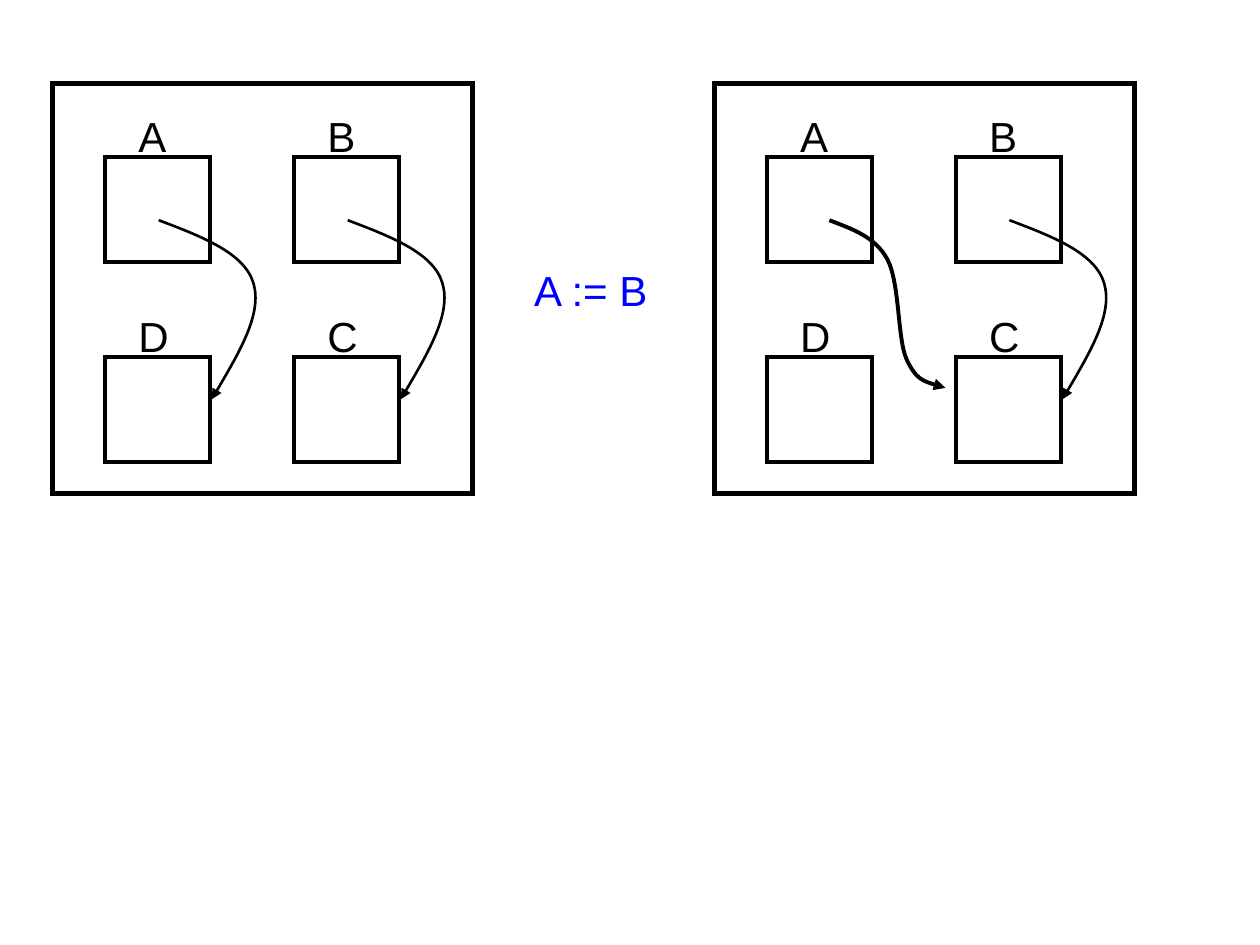
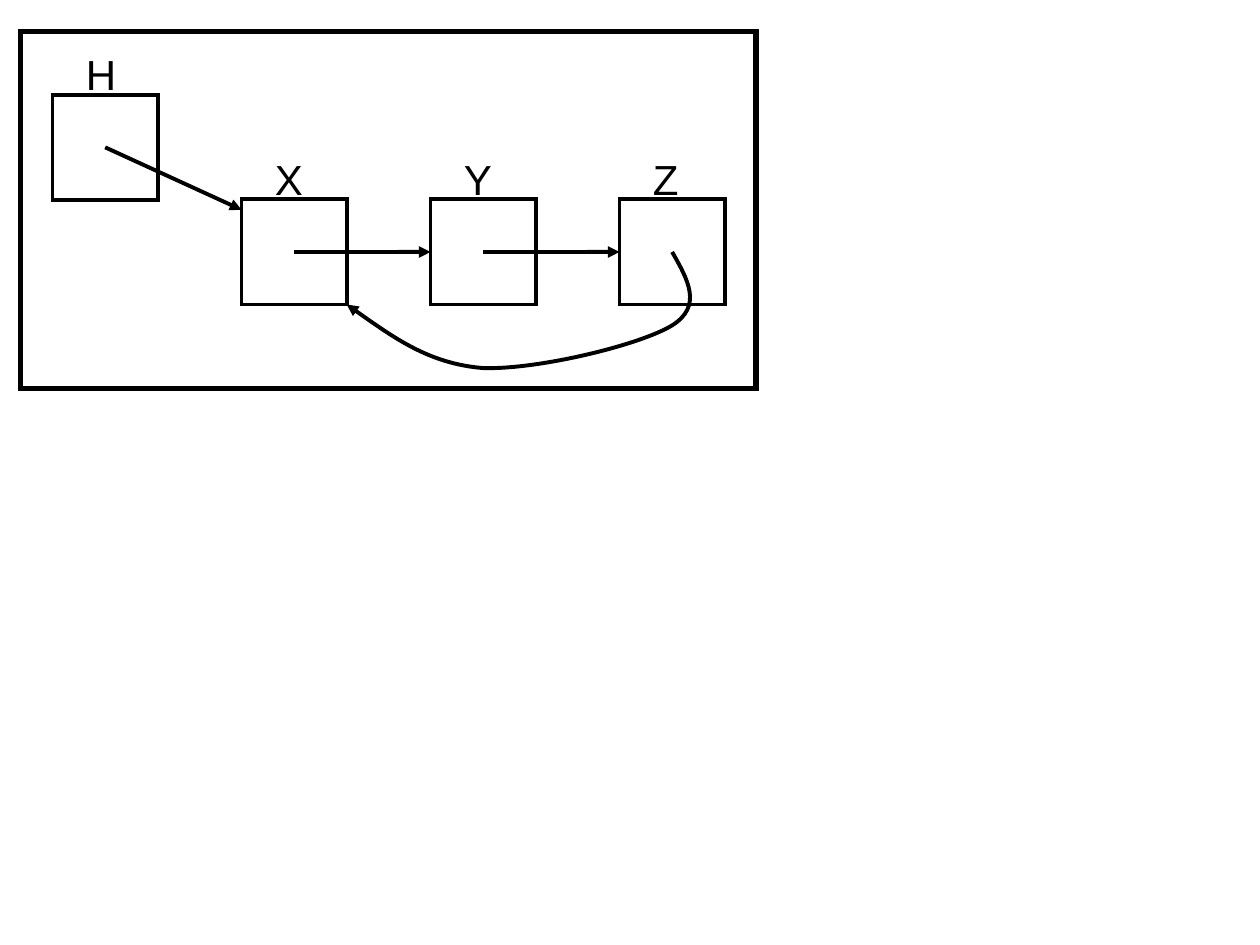
"""Builds two memory diagrams that show variables and the pointers between them."""
from lxml import etree
from pptx import Presentation
from pptx import util as u
from pptx.dml.color import RGBColor
from pptx.enum import shapes, text
from pptx.oxml.ns import qn

COLORS = {"ink": "000000", "paper": "FFFFFF", "assignment": "0000FF"}
FONT = "Arial"
CELL = 2.12
CENTRE = CELL / 2
COLUMN_STEP = 3.81
ROW_STEP = 4.02
LABEL_WIDTHS = {"C": 1.12, "D": 1.12, "H": 1.12, "Z": 1.02}

ROUND_THE_SIDE = [(1.08, 1.27), (1.95, 1.6), (2.81, 1.93), (2.99, 2.54),
                  (3.17, 3.15), (2.66, 4.01), (2.15, 4.88)]
ACROSS = [(1.26, 1.27), (1.72, 1.45), (2.18, 1.6), (2.43, 2.06), (2.68, 2.54),
          (2.63, 3.63), (2.81, 4.06), (3.01, 4.5), (3.32, 4.57), (3.6, 4.65)]
BACK_TO_FIRST = [(1.06, 1.06), (1.38, 1.62), (1.68, 2.15), (1.06, 2.54), (0.41, 2.94),
                 (-1.67, 3.44), (-2.76, 3.4), (-3.85, 3.31), (-4.67, 2.7), (-5.5, 2.12)]


def color(name):
    """Return a named colour."""
    return RGBColor.from_string(COLORS[name])


def ink_line(line, weight):
    """Give a line the ink colour and a weight in points."""
    line.color.rgb = color("ink")
    line.width = u.Pt(weight)


def add_arrowhead(line_shape):
    """Put a triangle at the end of a line."""
    etree.SubElement(line_shape.line._get_or_add_ln(), qn("a:tailEnd"), type="triangle")


def add_box(slide, left, top, width, height, weight):
    """Draw an outlined rectangle with sharp corners."""
    box = slide.shapes.add_shape(shapes.MSO_SHAPE.RECTANGLE,
                                 u.Cm(left), u.Cm(top), u.Cm(width), u.Cm(height))
    box.shadow.inherit = False
    box.fill.solid()
    box.fill.fore_color.rgb = color("paper")
    ink_line(box.line, weight)
    etree.SubElement(box.line._get_or_add_ln(), qn("a:miter"), lim="800000")
    return box


def add_label(slide, wording, left, top, width, color_name="ink"):
    """Write one line of text."""
    label = slide.shapes.add_textbox(u.Cm(left), u.Cm(top), u.Cm(width), u.Cm(1.27))
    frame = label.text_frame
    frame.word_wrap = False
    frame.auto_size = text.MSO_AUTO_SIZE.SHAPE_TO_FIT_TEXT
    frame.text = wording
    font = frame.paragraphs[0].runs[0].font
    font.name = FONT
    font.size = u.Pt(24)
    font.color.rgb = color(color_name)


def add_variable(slide, name, left, top):
    """Draw a memory cell with its name above it."""
    cell = add_box(slide, left, top, CELL, CELL, 2.25)
    add_label(slide, name, left + 0.42, top - 1.06, LABEL_WIDTHS.get(name, 1.07))
    return cell


def add_curved_pointer(slide, left, top, offsets, weight=2.25):
    """Draw a Bézier arrow through points given from a cell's corner."""
    points = [(u.Cm(left + x), u.Cm(top + y)) for x, y in offsets]
    builder = slide.shapes.build_freeform(*points[0])
    builder.add_line_segments(points[1:], close=False)
    pointer = builder.convert_to_shape()
    pointer.shadow.inherit = False
    pointer.fill.background()
    ink_line(pointer.line, weight)
    add_arrowhead(pointer)
    steps = list(pointer._element.iter(qn("a:lnTo")))
    for first in range(0, len(steps), 3):
        curve = etree.Element(qn("a:cubicBezTo"))
        steps[first].addprevious(curve)
        for step in steps[first:first + 3]:
            curve.append(step[0])
            step.getparent().remove(step)


def add_straight_pointer(slide, start, end, target=None):
    """Draw a straight arrow, joined to the left side of a target cell if given."""
    pointer = slide.shapes.add_connector(shapes.MSO_CONNECTOR.STRAIGHT,
                                         *(u.Cm(value) for value in (*start, *end)))
    if target is not None:
        pointer.end_connect(target, 1)
    ink_line(pointer.line, 2.25)
    add_arrowhead(pointer)
    etree.SubElement(pointer._element.spPr, qn("a:effectLst"))


def add_memory(slide, left, top):
    """Draw four variables in a frame, with B pointing to C, and return A's corner."""
    add_box(slide, left, top, 8.47, 8.26, 3)
    first_left, first_top = left + 1.06, top + 1.48
    for row, names in enumerate(("AB", "DC")):
        for column, name in enumerate(names):
            add_variable(slide, name, first_left + column * COLUMN_STEP,
                         first_top + row * ROW_STEP)
    add_curved_pointer(slide, first_left + COLUMN_STEP, first_top, ROUND_THE_SIDE, 1.5)
    return first_left, first_top


def build_assignment(slide):
    """Show memory before and after A := B."""
    before = add_memory(slide, 1.06, 1.69)
    add_curved_pointer(slide, *before, ROUND_THE_SIDE, 1.5)
    after = add_memory(slide, 14.4, 1.69)
    add_curved_pointer(slide, *after, ACROSS)
    add_label(slide, "A := B", 10.52, 5.21, 2.82, "assignment")


def build_circular_list(slide):
    """Show a head pointing to a ring of three cells."""
    add_box(slide, 0.42, 0.64, 14.82, 7.2, 3)
    head_left, head_top = 1.06, 1.91
    add_variable(slide, "H", head_left, head_top)
    ring_top = 4.02
    lefts = [head_left + COLUMN_STEP * place for place in (1, 2, 3)]
    cells = [add_variable(slide, name, left, ring_top) for name, left in zip("XYZ", lefts)]
    middle = ring_top + CENTRE
    for left, next_left, target in zip(lefts, lefts[1:], cells[1:]):
        add_straight_pointer(slide, (left + CENTRE, middle), (next_left, middle), target)
    add_straight_pointer(slide, (head_left + CENTRE, head_top + CENTRE),
                         (lefts[0], ring_top + 0.21))
    add_curved_pointer(slide, lefts[-1], ring_top, BACK_TO_FIRST)


def main():
    """Build and save the presentation."""
    deck = Presentation()
    deck.slide_width, deck.slide_height = u.Cm(25.4), u.Cm(19.05)
    for build in (build_assignment, build_circular_list):
        build(deck.slides.add_slide(deck.slide_layouts[6]))
    deck.save("out.pptx")


if __name__ == "__main__":
    main()
